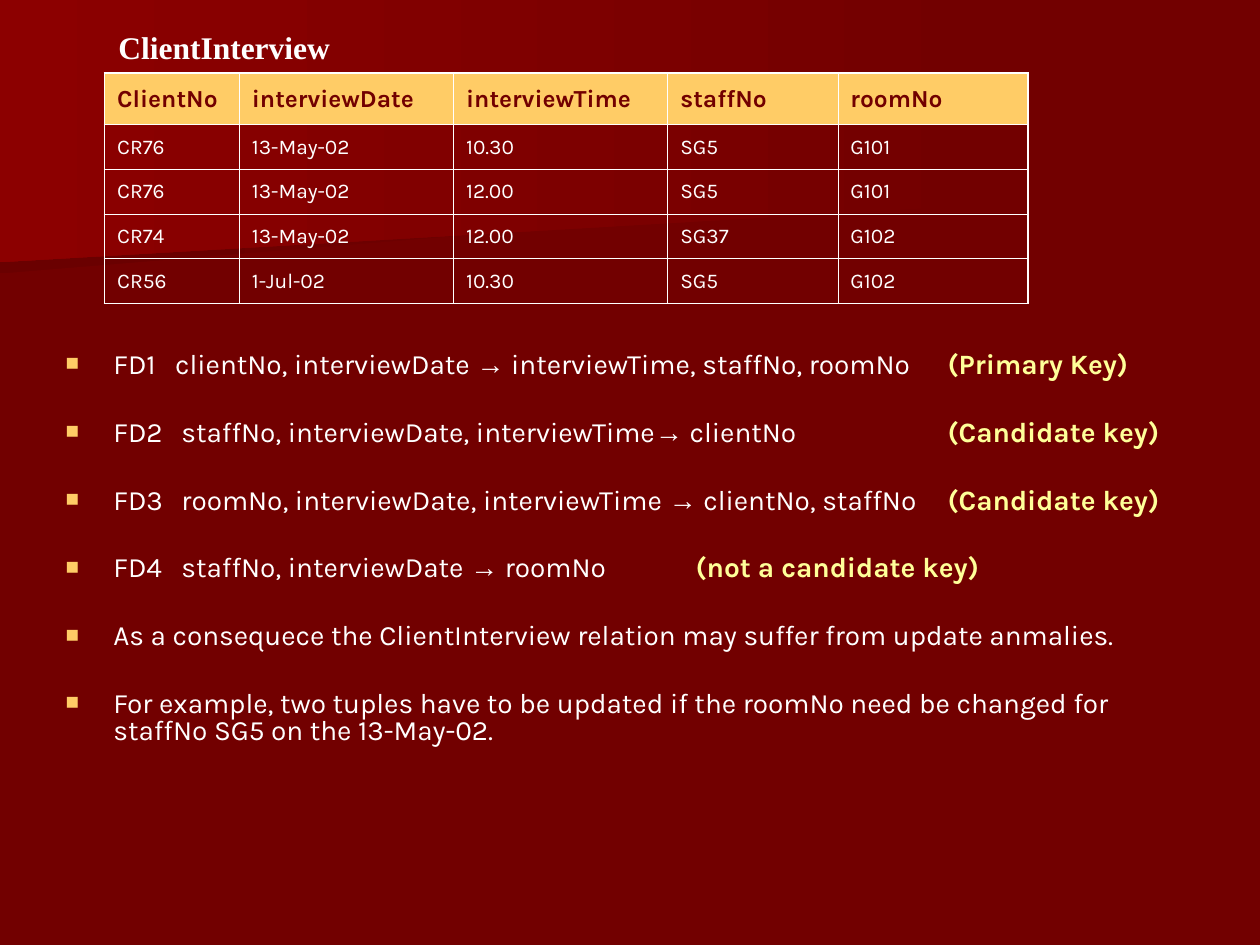
from dataclasses import dataclass
from lxml.etree import SubElement as Sub
from pptx import Presentation
from pptx.dml.color import RGBColor as Rgb
from pptx.enum.text import MSO_ANCHOR as Anchor, MSO_AUTO_SIZE as Fit, PP_ALIGN as Align
from pptx.oxml.ns import qn
from pptx.util import Inches, Pt


@dataclass(frozen=True)
class Theme:
    """Colours, fonts and type sizes of the slide."""
    back: str = "720000"
    shade: str = "6A0000"
    glow: str = "8C0000"
    gold: str = "FFCC66"
    note: str = "FFFF99"
    ink: str = "FFFFFF"
    font: str = "Karla"
    serif: str = "Times New Roman"
    sign: str = "Arial"
    title: int = 18
    body: int = 16
    head: int = 14
    cell: int = 12


T = Theme()
ARROW = "→"
BANDS = [
    (T.shade, [(7.78, 1.53), (0, 2.17), (0, 1.01), (7.79, 1.01), (7.78, 1.28)]),
    (T.glow, [(7.92, 1.62), (0, 2.08), (0, 0), (7.92, 0)]),
]
COLS = [1.07, 1.7, 1.7, 1.35, 1.51]
ROWS = [
    ["ClientNo", "interviewDate", "interviewTime", "staffNo", "roomNo"],
    ["CR76", "13-May-02", "10.30", "SG5", "G101"],
    ["CR76", "13-May-02", "12.00", "SG5", "G101"],
    ["CR74", "13-May-02", "12.00", "SG37", "G102"],
    ["CR56", "1-Jul-02", "10.30", "SG5", "G102"],
]
ITEMS = [
    ("FD1\tclientNo, interviewDate → interviewTime, staffNo, roomNo",
     "(Primary Key)", (0.87, 7)),
    ("FD2\tstaffNo, interviewDate, interviewTime→ clientNo",
     "(Candidate key)", (0.92, 7)),
    ("FD3\troomNo, interviewDate, interviewTime → clientNo, staffNo",
     "(Candidate key)", (0.92, 7)),
    ("FD4\tstaffNo, interviewDate → roomNo",
     "(not a candidate key)", (0.92, 5)),
    ("As a consequece the ClientInterview relation may suffer from update anmalies.",
     "", ()),
    ("For example, two tuples have to be updated if the roomNo need be changed "
     "for staffNo SG5 on the 13-May-02.", "", ()),
]


def write(para, text, size=T.body, font=T.font, color=T.ink, bold=False):
    """Add one formatted run to a paragraph."""
    run = para.add_run()
    run.text = text
    face = run.font
    face.size, face.name, face.bold = Pt(size), font, bold
    face.color.rgb = Rgb.from_string(color)


def place(shape, box):
    """Move a shape to a box given in inches."""
    shape.left, shape.top, shape.width, shape.height = map(Inches, box)


def draw_back(slide):
    """Fill the background and lay the two gradient bands behind the text."""
    fill = slide.background.fill
    fill.solid()
    fill.fore_color.rgb = Rgb.from_string(T.back)
    for spot, (tone, dots) in enumerate(BANDS, 2):
        first, *rest = [(Inches(x), Inches(y)) for x, y in dots]
        pen = slide.shapes.build_freeform(*first)
        pen.add_line_segments(rest, close=True)
        band = pen.convert_to_shape()
        band.shadow.inherit = False
        band.line.fill.background()
        band.fill.gradient()
        band.fill.gradient_angle = 180
        for stop, color, pos in zip(band.fill.gradient_stops, (T.back, tone), (0, 1)):
            stop.color.rgb = Rgb.from_string(color)
            stop.position = pos
        slide.shapes._spTree.insert(spot, band._element)


def draw_title(shape, box):
    """Set the table's name in the title placeholder."""
    place(shape, box)
    frame = shape.text_frame
    frame.word_wrap, frame.auto_size = True, Fit.NONE
    frame.margin_left = frame.margin_right = 0
    frame.vertical_anchor = Anchor.TOP
    para = frame.paragraphs[0]
    para.alignment = Align.CENTER
    write(para, "ClientInterview", size=T.title, font=T.serif, bold=True)


def rule(cell, sides):
    """Draw a cell's borders, heavier where the side is on the table's edge."""
    props = cell._tc.get_or_add_tcPr()
    for side, edge in sides.items():
        line = Sub(props, qn(f"a:ln{side}"), w=str(Pt(1.08 if edge else 0.45)))
        Sub(Sub(line, qn("a:solidFill")), qn("a:srgbClr"), val=T.ink)


def draw_table(slide, box, top=0.41):
    """Build the interview table with a gold heading row."""
    tall, wide = len(ROWS), len(COLS)
    table = slide.shapes.add_table(tall, wide, *map(Inches, box)).table
    table.horz_banding = False
    for col, width in zip(table.columns, COLS):
        col.width = Inches(width)
    for i, row in enumerate(ROWS):
        table.rows[i].height = Inches(top if i == 0 else (box[3] - top) / (tall - 1))
        for j, text in enumerate(row):
            cell = table.cell(i, j)
            cell.vertical_anchor = Anchor.MIDDLE
            rule(cell, {"L": j == 0, "R": j == wide - 1, "T": i == 0, "B": i == tall - 1})
            para = cell.text_frame.paragraphs[0]
            if i == 0:
                cell.fill.solid()
                cell.fill.fore_color.rgb = Rgb.from_string(T.gold)
                para.space_before = Pt(3.5)
                write(para, text, size=T.head, color=T.back, bold=True)
            else:
                cell.fill.background()
                para.space_before = Pt(3)
                write(para, text, size=T.cell)


def mark(para, stops):
    """Give a paragraph its hanging gold bullet and tab stops."""
    props = para._p.get_or_add_pPr()
    props.set("marL", str(Inches(0.38)))
    props.set("indent", str(-Inches(0.38)))
    Sub(Sub(props, qn("a:buClr")), qn("a:srgbClr"), val=T.gold)
    Sub(props, qn("a:buSzPct"), val="80000")
    Sub(props, qn("a:buFont"), typeface=T.sign)
    Sub(props, qn("a:buChar"), char="■")
    if stops:
        tabs = Sub(props, qn("a:tabLst"))
        for stop in stops:
            Sub(tabs, qn("a:tab"), pos=str(Inches(stop)), algn="l")


def draw_body(shape, box):
    """List the dependencies and remarks in the body placeholder."""
    place(shape, box)
    frame = shape.text_frame
    frame.word_wrap, frame.auto_size = True, Fit.NONE
    frame.vertical_anchor = Anchor.TOP
    for i, (text, note, stops) in enumerate(ITEMS):
        para = frame.add_paragraph() if i else frame.paragraphs[0]
        para.line_spacing = 0.8
        para.space_before = Pt(23.4 if i else 4)
        mark(para, stops)
        left, arrow, right = text.partition(ARROW)
        write(para, left)
        if arrow:
            write(para, arrow, font=T.sign)
            write(para, right + "\t")
            write(para, note, color=T.note, bold=True)


def main():
    """Build the slide and save it."""
    deck = Presentation()
    deck.slide_width, deck.slide_height = Inches(10), Inches(7.5)
    slide = deck.slides.add_slide(deck.slide_layouts[1])
    draw_back(slide)
    draw_body(slide.placeholders[1], (0.42, 2.75, 9, 3.92))
    draw_title(slide.shapes.title, (0.84, 0.17, 1.88, 0.4))
    draw_table(slide, (0.83, 0.58, sum(COLS), 1.83))
    deck.save("out.pptx")


if __name__ == "__main__":
    main()
